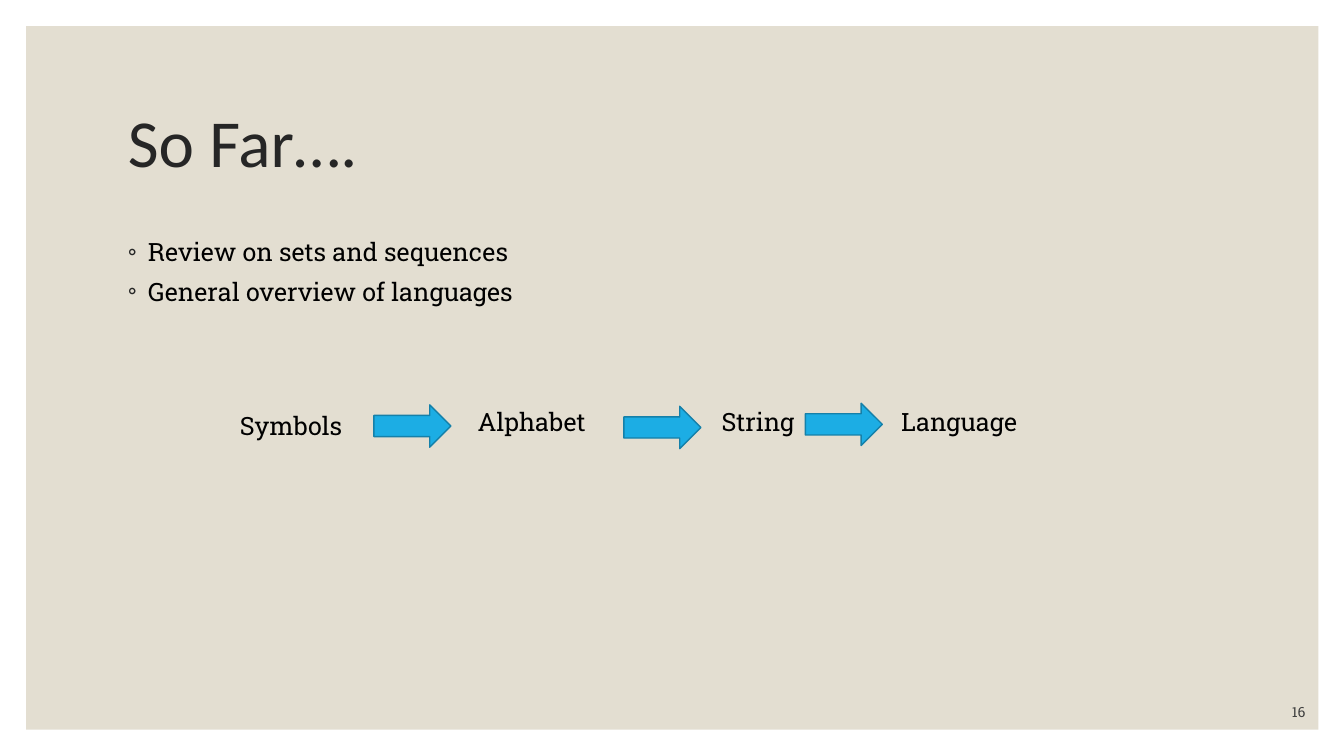
from lxml.etree import SubElement
from pptx import Presentation
from pptx.dml.color import RGBColor
from pptx.enum.shapes import MSO_SHAPE as Shape
from pptx.enum.text import MSO_ANCHOR as Anchor, PP_ALIGN as Align
from pptx.oxml.ns import qn
from pptx.util import Pt

BODY_FONT = "Roboto Slab"
BLACK = "000000"


def color(value):
    return RGBColor.from_string(value)


def add_run(para, text, size=18, font=BODY_FONT, ink=BLACK):
    span = para.add_run()
    span.text = text
    span.font.size = Pt(size)
    span.font.name = font
    span.font.color.rgb = color(ink)


def add_box(page, left, top, width, height, anchor=Anchor.TOP):
    box = page.shapes.add_textbox(Pt(left), Pt(top), Pt(width), Pt(height))
    box.text_frame.word_wrap = True
    box.text_frame.vertical_anchor = anchor
    return box.text_frame


def add_shape(page, kind, left, top, width, height, fill, line=None):
    shape = page.shapes.add_shape(kind, Pt(left), Pt(top), Pt(width), Pt(height))
    shape.shadow.inherit = False
    shape.fill.solid()
    shape.fill.fore_color.rgb = color(fill)
    if line:
        shape.line.color.rgb = color(line)
        shape.line.width = Pt(1)
    else:
        shape.line.fill.background()


def add_bullet(para, symbol, ink):
    props = para._p.get_or_add_pPr()
    props.set("marL", str(Pt(14.4)))
    props.set("indent", str(Pt(-14.4)))
    bullet_color = SubElement(props, qn("a:buClr"))
    SubElement(bullet_color, qn("a:srgbClr"), val=ink)
    SubElement(props, qn("a:buFont"), typeface="Calibri")
    SubElement(props, qn("a:buChar"), char=symbol)


def add_title(page, text):
    para = add_box(page, 84.24, 50.4, 792, 108, Anchor.MIDDLE).paragraphs[0]
    para.line_spacing = 0.9
    add_run(para, text, 48, "Calibri", "262626")


def add_bullets(page, lines):
    frame = add_box(page, 84.24, 165.6, 792, 309.6)
    for index, text in enumerate(lines):
        para = frame.add_paragraph() if index else frame.paragraphs[0]
        if index:
            para.space_before = Pt(6.5)
        add_bullet(para, "◦", "262626")
        add_run(para, text)


def add_label(page, text, left, top, width):
    add_run(add_box(page, left, top, width, 28.8).paragraphs[0], text)


def add_arrow(page, left, top):
    add_shape(page, Shape.RIGHT_ARROW, left, top, 55, 30.24, "1CADE4", "1580A9")


def add_page_number(page, number):
    para = add_box(page, 824.4, 496.8, 115.2, 21.6, Anchor.BOTTOM).paragraphs[0]
    para.alignment = Align.RIGHT
    add_run(para, number, 10, ink="404040")


def main():
    deck = Presentation()
    deck.slide_width, deck.slide_height = Pt(960), Pt(540)
    page = deck.slides.add_slide(deck.slide_layouts[6])
    add_shape(page, Shape.RECTANGLE, 18.72, 18.72, 923, 502.5, "E3DED1")
    add_title(page, "So Far….")
    add_bullets(page, ["Review on sets and sequences", "General overview of languages"])
    for text, left, top, width in [
        ("Symbols", 164.2, 289.4, 137.5),
        ("Alphabet", 334.1, 286.5, 103.7),
        ("String", 508.3, 286.5, 103.7),
        ("Language", 636.5, 286.5, 126),
    ]:
        add_label(page, text, left, top, width)
    for left, top in [(267.1, 289.2), (445.7, 290.2), (575.3, 288)]:
        add_arrow(page, left, top)
    add_page_number(page, "16")
    deck.save("out.pptx")


if __name__ == "__main__":
    main()
